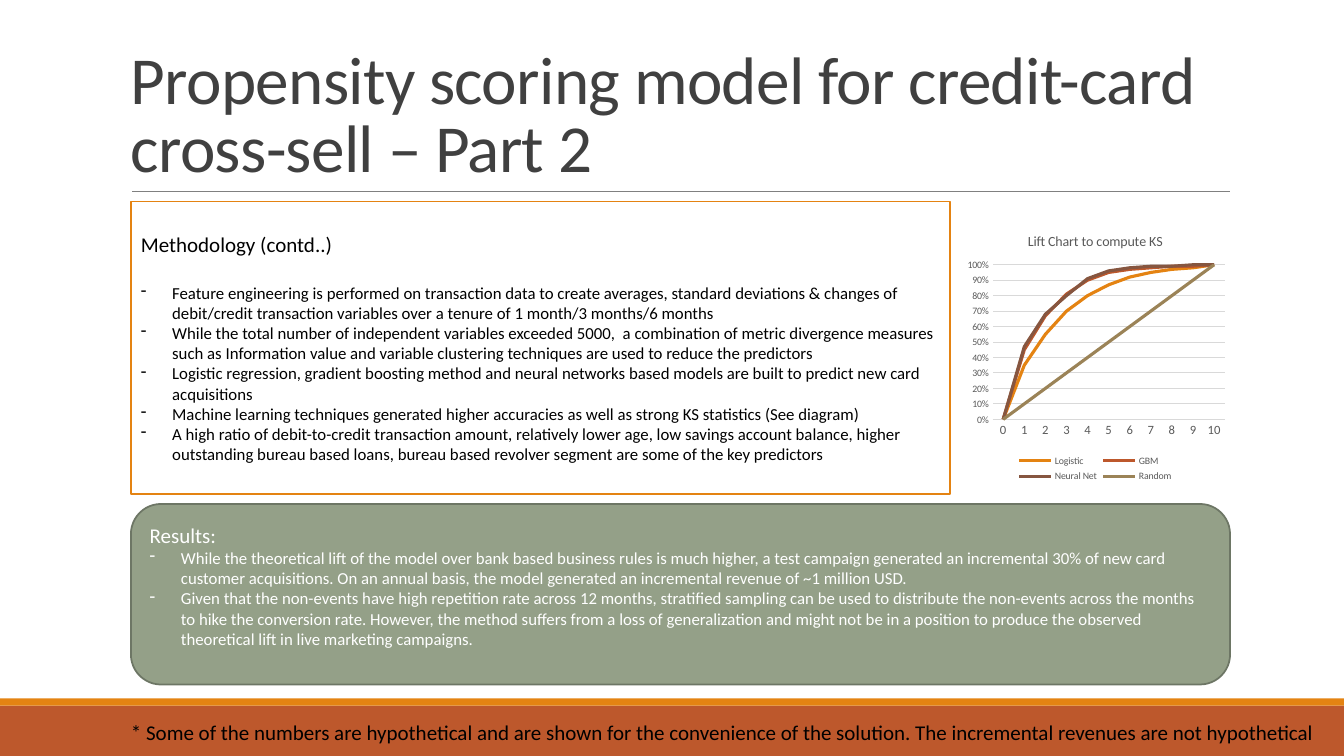
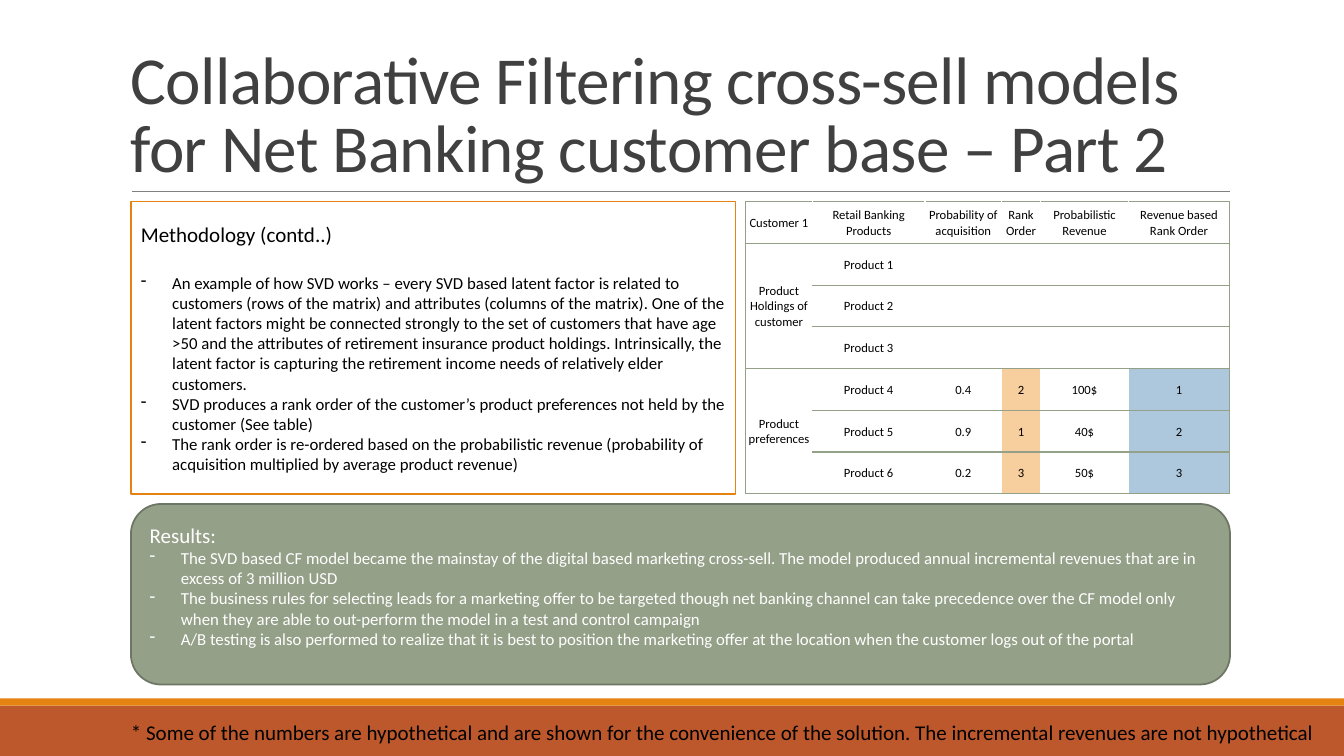
from dataclasses import dataclass

from lxml import etree
from pptx import Presentation
from pptx import util as u
from pptx.chart.data import CategoryChartData
from pptx.dml.color import RGBColor
from pptx.enum import chart as ch, shapes, text
from pptx.oxml import ns

Cm, Pt = u.Cm, u.Pt


@dataclass(frozen=True)
class Theme:
    font: str = "Calibri"
    ink: str = "000000"
    paper: str = "FFFFFF"
    title: str = "404040"
    rule: str = "808080"
    rust: str = "BD582C"
    orange: str = "E48312"
    brown: str = "865640"
    sand: str = "9B8357"
    sage: str = "94A088"
    sage_edge: str = "6D7665"
    rank: str = "F7CE9D"
    revenue: str = "ADC8DD"
    chart_text: str = "595959"
    grid: str = "D9D9D9"
    title_size: float = 48
    heading_size: float = 15
    body_size: float = 12
    chart_title_size: float = 10
    small_size: float = 9
    tiny_size: float = 7


WIDTH, HEIGHT = 33.87, 19.05
LEFT, RIGHT = 3.3, 31
GAP = 0.25
UPPER_TOP, UPPER_HEIGHT = 5.08, 7.37
FOOTNOTE = ("* Some of the numbers are hypothetical and are shown for the convenience "
            "of the solution. The incremental revenues are not hypothetical")


def rgb(value):
    return RGBColor.from_string(value)


def sub(parent, tag, **attributes):
    return etree.SubElement(parent, ns.qn(tag), attributes)


class Deck:
    def __init__(self, theme):
        self.theme = theme
        self.prs = Presentation()
        self.prs.slide_width, self.prs.slide_height = Cm(WIDTH), Cm(HEIGHT)
        self.slide = None

    def new_slide(self, title):
        t = self.theme
        self.slide = self.prs.slides.add_slide(self.prs.slide_layouts[6])
        self.shape(0, 17.78, WIDTH, 1.27, t.rust)
        self.shape(0, 17.6, WIDTH, 0.18, t.orange)
        self.rule(3.33, RIGHT, 4.83)
        heading = self.textbox(3.05, 0.79, 27.94, 4.04, title, t.title_size, t.title)
        heading.vertical_anchor = text.MSO_ANCHOR.BOTTOM
        heading.paragraphs[0].line_spacing = 0.85
        for run in heading.paragraphs[0].runs:
            run.font._element.set("spc", "-50")
        note = self.textbox(3.05, 18, 30.63, 0.9, FOOTNOTE, t.heading_size, t.ink)
        note.word_wrap = False

    def style(self, font, size, color):
        font.name, font.size, font.bold = self.theme.font, Pt(size), False
        font.color.rgb = rgb(color)

    def put_text(self, paragraph, words, size, color):
        paragraph.text = words
        for run in paragraph.runs:
            self.style(run.font, size, color)

    def shape(self, x, y, w, h, fill, edge=None, kind=shapes.MSO_SHAPE.RECTANGLE):
        shape = self.slide.shapes.add_shape(kind, Cm(x), Cm(y), Cm(w), Cm(h))
        shape.shadow.inherit = False
        shape.fill.solid()
        shape.fill.fore_color.rgb = rgb(fill)
        if edge:
            shape.line.color.rgb = rgb(edge)
            shape.line.width = Pt(1.25)
        else:
            shape.line.fill.background()
        return shape

    def rule(self, x1, x2, y):
        line = self.slide.shapes.add_connector(
            shapes.MSO_CONNECTOR.STRAIGHT, Cm(x1), Cm(y), Cm(x2), Cm(y))
        line.line.color.rgb = rgb(self.theme.rule)
        line.line.width = Pt(0.5)
        sub(line._element.spPr, "a:effectLst")

    def textbox(self, x, y, w, h, words, size, color):
        frame = self.slide.shapes.add_textbox(Cm(x), Cm(y), Cm(w), Cm(h)).text_frame
        frame.word_wrap = True
        self.put_text(frame.paragraphs[0], words, size, color)
        return frame

    def fill_panel(self, panel, heading, points, color, heading_gap=0):
        """Put a heading and dash-bulleted points into a panel."""
        t, frame = self.theme, panel.text_frame
        frame.word_wrap = True
        frame.vertical_anchor = text.MSO_ANCHOR.MIDDLE
        first = frame.paragraphs[0]
        self.put_text(first, heading, t.heading_size, color)
        first.alignment = text.PP_ALIGN.LEFT
        first.space_after = Pt(heading_gap)
        for point in points:
            paragraph = frame.add_paragraph()
            self.put_text(paragraph, point, t.body_size, color)
            paragraph.alignment = text.PP_ALIGN.LEFT
            props = paragraph._p.get_or_add_pPr()
            props.set("marL", str(Cm(0.79)))
            props.set("indent", str(-Cm(0.79)))
            sub(props, "a:buChar", char="-")

    def methodology(self, width, points):
        t = self.theme
        panel = self.shape(LEFT, UPPER_TOP, width, UPPER_HEIGHT, t.paper, t.orange)
        self.fill_panel(panel, "Methodology (contd..)", points, t.ink, heading_gap=18.3)

    def results(self, points):
        t = self.theme
        panel = self.shape(LEFT, 12.7, RIGHT - LEFT, 4.55, t.sage, t.sage_edge,
                           shapes.MSO_SHAPE.ROUNDED_RECTANGLE)
        panel.text_frame.margin_bottom = Cm(0.56)
        self.fill_panel(panel, "Results:", points, t.paper)

    def lift_chart(self, x, y, w, h, title, categories, curves):
        t = self.theme
        data = CategoryChartData(number_format="0%")
        data.categories = categories
        for name, _, values in curves:
            data.add_series(name, values)
        chart = self.slide.shapes.add_chart(
            ch.XL_CHART_TYPE.LINE, Cm(x), Cm(y), Cm(w), Cm(h), data).chart
        self.style(chart.font, t.chart_title_size, t.chart_text)
        chart.has_title = True
        self.put_text(chart.chart_title.text_frame.paragraphs[0], title,
                      t.chart_title_size, t.chart_text)
        chart.has_legend = True
        chart.legend.position = ch.XL_LEGEND_POSITION.BOTTOM
        chart.legend.include_in_layout = False
        self.style(chart.legend.font, t.tiny_size, t.chart_text)

        lift, decile = chart.value_axis, chart.category_axis
        for axis, size in ((lift, t.tiny_size), (decile, t.small_size)):
            axis.major_tick_mark = axis.minor_tick_mark = ch.XL_TICK_MARK.NONE
            self.style(axis.tick_labels.font, size, t.chart_text)
        lift.minimum_scale, lift.maximum_scale, lift.major_unit = 0, 1, 0.1
        lift.tick_labels.number_format = "0%"
        lift.tick_labels.number_format_is_linked = False
        lift.format.line.fill.background()
        for line in (lift.major_gridlines.format.line, decile.format.line):
            line.color.rgb = rgb(t.grid)
            line.width = Pt(0.75)

        chart.plots[0].vary_by_categories = False
        for series, (_, color, _) in zip(chart.plots[0].series, curves):
            series.smooth = False
            series.marker.style = ch.XL_MARKER_STYLE.NONE
            series.format.line.color.rgb = rgb(color)
            series.format.line.width = Pt(2.25)
        self.place_plot(chart, x=0.12, y=0.17, w=0.86, h=0.58)

    def place_plot(self, chart, **fractions):
        """Fix the inner plot area as fractions of the chart."""
        area = chart._chartSpace.chart.plotArea
        for old in area.findall(ns.qn("c:layout")):
            area.remove(old)
        layout = etree.Element(ns.qn("c:layout"))
        area.insert(0, layout)
        manual = sub(layout, "c:manualLayout")
        sub(manual, "c:layoutTarget", val="inner")
        for side in "xy":
            sub(manual, f"c:{side}Mode", val="edge")
        for side, value in fractions.items():
            sub(manual, f"c:{side}", val=str(value))

    def table(self, x, y, widths, row_height, rows, merges, tints):
        """Draw a grid; tints maps (row, column) to a fill colour."""
        t = self.theme
        grid = self.slide.shapes.add_table(
            len(rows), len(widths), Cm(x), Cm(y), Cm(sum(widths)),
            Cm(row_height * len(rows))).table
        grid.first_row = grid.horz_banding = False
        for column, width in zip(grid.columns, widths):
            column.width = Cm(width)
        for row in grid.rows:
            row.height = Cm(row_height)
        for top, bottom, column in merges:
            grid.cell(top, column).merge(grid.cell(bottom, column))
        for r, row in enumerate(rows):
            for c, words in enumerate(row):
                cell = grid.cell(r, c)
                cell.fill.solid()
                cell.fill.fore_color.rgb = rgb(tints.get((r, c), t.paper))
                if cell.is_spanned:
                    continue
                cell.vertical_anchor = text.MSO_ANCHOR.MIDDLE
                cell.margin_left = cell.margin_right = cell.margin_top = Cm(0.03)
                cell.margin_bottom = 0
                cell.text_frame.text = words
                for paragraph in cell.text_frame.paragraphs:
                    paragraph.alignment = text.PP_ALIGN.CENTER
                    for run in paragraph.runs:
                        self.style(run.font, t.small_size, t.ink)
                sides = "L" * (c == 0) + "R" * (c == len(widths) - 1) + "TB"
                self.borders(cell, sides)

    def borders(self, cell, sides):
        props = cell._tc.get_or_add_tcPr()
        for position, side in enumerate(sides):
            line = etree.Element(ns.qn(f"a:ln{side}"), w=str(Pt(1)))
            sub(sub(line, "a:solidFill"), "a:srgbClr", val=self.theme.sage)
            props.insert(position, line)


def propensity_slide(deck):
    t = deck.theme
    deck.new_slide("Propensity scoring model for credit-card cross-sell – Part 2")
    deck.results([
        "While the theoretical lift of the model over bank based business rules is much higher, a test campaign generated an incremental 30% of new card customer acquisitions. On an annual basis, the model generated an incremental revenue of ~1 million USD.",
        "Given that the non-events have high repetition rate across 12 months, stratified sampling can be used to distribute the non-events across the months to hike the conversion rate. However, the method suffers from a loss of generalization and might not be in a position to produce the observed theoretical lift in live marketing campaigns.",
    ])
    deck.methodology(20.65, [
        "Feature engineering is performed on transaction data to create averages, standard deviations & changes of debit/credit transaction variables over a tenure of 1 month/3 months/6 months",
        "While the total number of independent variables exceeded 5000,  a combination of metric divergence measures such as Information value and variable clustering techniques are used to reduce the predictors",
        "Logistic regression, gradient boosting method and neural networks based models are built to predict new card acquisitions",
        "Machine learning techniques generated higher accuracies as well as strong KS statistics (See diagram)",
        "A high ratio of debit-to-credit transaction amount, relatively lower age, low savings account balance, higher outstanding bureau based loans, bureau based revolver segment are some of the key predictors",
    ])
    deck.lift_chart(24.2, 5.53, 6.8, 6.72, "Lift Chart to compute KS",
                    [str(decile) for decile in range(11)], [
        ("Logistic", t.orange, [0, 0.35, 0.55, 0.7, 0.8, 0.87, 0.92, 0.95, 0.97, 0.98, 1]),
        ("GBM", t.rust, [0, 0.45, 0.67, 0.81, 0.9, 0.95, 0.97, 0.98, 0.99, 0.99, 1]),
        ("Neural Net", t.brown, [0, 0.47, 0.68, 0.8, 0.91, 0.96, 0.98, 0.99, 0.99, 1, 1]),
        ("Random", t.sand, [decile / 10 for decile in range(11)]),
    ])


def filtering_slide(deck):
    t = deck.theme
    deck.new_slide("Collaborative Filtering cross-sell models for Net Banking customer base – Part 2")
    deck.results([
        "The SVD based CF model became the mainstay of the digital based marketing cross-sell. The model produced annual incremental revenues that are in excess of 3 million USD",
        "The business rules for selecting leads for a marketing offer to be targeted though net banking channel can take precedence over the CF model only when they are able to out-perform the model in a test and control campaign",
        "A/B testing is also performed to realize that it is best to position the marketing offer at the location when the customer logs out of the portal",
    ])
    method_width = 15.24
    deck.methodology(method_width, [
        "An example of how SVD works – every SVD based latent factor is related to customers (rows of the matrix) and attributes (columns of the matrix). One of the latent factors might be connected strongly to the set of customers that have age >50 and the attributes of retirement insurance product holdings. Intrinsically, the latent factor is capturing the retirement income needs of relatively elder customers.",
        "SVD produces a rank order of the customer’s product preferences not held by the customer (See table)",
        "The rank order is re-ordered based on the probabilistic revenue (probability of acquisition multiplied by average product revenue)",
    ])
    rows = [
        ["Customer 1", "Retail Banking\nProducts", "Probability of acquisition",
         "Rank\nOrder", "Probabilistic Revenue", "Revenue based\nRank Order"],
        ["Product Holdings of customer", "Product 1", "", "", "", ""],
        ["", "Product 2", "", "", "", ""],
        ["", "Product 3", "", "", "", ""],
        ["Product preferences", "Product 4", "0.4", "2", "100$", "1"],
        ["", "Product 5", "0.9", "1", "40$", "2"],
        ["", "Product 6", "0.2", "3", "50$", "3"],
    ]
    tints = {(row, column): color for row in (4, 5, 6)
             for column, color in ((3, t.rank), (5, t.revenue))}
    deck.table(LEFT + method_width + GAP, UPPER_TOP,
               [1.68, 2.84, 1.93, 0.98, 2.22, 2.54], UPPER_HEIGHT / len(rows),
               rows, [(1, 3, 0), (4, 6, 0)], tints)


def main():
    deck = Deck(Theme())
    propensity_slide(deck)
    filtering_slide(deck)
    deck.prs.save("out.pptx")


if __name__ == "__main__":
    main()
